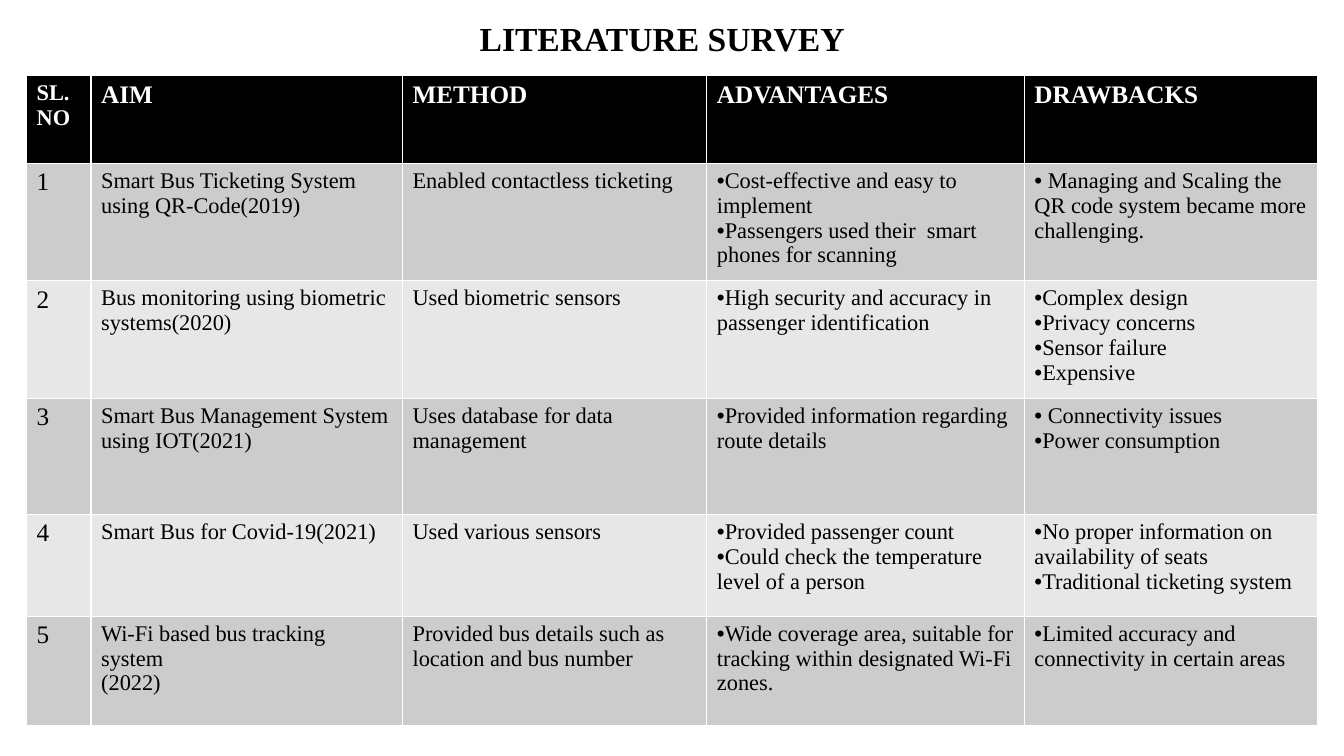
"""Build the literature survey slide: a title above a table of five studies."""
from lxml.etree import SubElement
from pptx import Presentation
from pptx.dml.color import RGBColor as RGB
from pptx.enum.text import MSO_ANCHOR as Anchor, PP_ALIGN as Align
from pptx.oxml.ns import qn
from pptx.util import Pt

HUES = {"ink": "000000", "paper": "FFFFFF", "odd": "CCCCCC", "even": "E7E7E7"}
FACE = "Times New Roman"
WIDTHS = [46.08, 222.48, 217.44, 226.8, 209.52]
HEIGHTS = [62.64, 82.8, 81.36, 82.8, 72.72, 78.48]
HEADS = ["SL.NO", "AIM", "METHOD", "ADVANTAGES", "DRAWBACKS"]
STUDIES = [
    ["Smart Bus Ticketing System using QR-Code(2019)",
     "Enabled contactless ticketing",
     "Cost-effective and easy to implement\nPassengers used their  smart phones for scanning",
     " Managing and Scaling the QR code system became more challenging."],
    ["Bus monitoring using biometric systems(2020)",
     "Used biometric sensors",
     "High security and accuracy in passenger identification",
     "Complex design\nPrivacy concerns\nSensor failure\nExpensive"],
    ["Smart Bus Management System using IOT(2021)",
     "Uses database for data management",
     "Provided information regarding route details",
     " Connectivity issues\nPower consumption"],
    ["Smart Bus for Covid-19(2021)",
     "Used various sensors",
     "Provided passenger count\nCould check the temperature level of a person",
     "No proper information on availability of seats\nTraditional ticketing system"],
    ["Wi-Fi based bus tracking system\n(2022)",
     "Provided bus details such as location and bus number",
     "Wide coverage area, suitable for tracking within designated Wi-Fi zones.",
     "Limited accuracy and connectivity in certain areas"],
]


def style(para, size, hue, bold):
    font = para.font
    font.name, font.size, font.bold = FACE, Pt(size), bold
    font.color.rgb = RGB.from_string(HUES[hue])


def bullet(para):
    props = para._p.get_or_add_pPr()
    props.set("marL", "0")
    props.set("indent", "0")
    SubElement(props, qn("a:buFont")).set("typeface", "Arial")
    SubElement(props, qn("a:buChar")).set("char", "•")


deck = Presentation()
deck.slide_width, deck.slide_height = Pt(960), Pt(540)
slide = deck.slides.add_slide(deck.slide_layouts[6])

title = slide.shapes.add_textbox(Pt(149), Pt(0), Pt(648), Pt(54)).text_frame
title.word_wrap = True
title.vertical_anchor = Anchor.MIDDLE
title.text = "LITERATURE SURVEY"
title.paragraphs[0].alignment = Align.CENTER
style(title.paragraphs[0], 24, "ink", True)

rows = [HEADS] + [[str(num), *study] for num, study in enumerate(STUDIES, 1)]
table = slide.shapes.add_table(len(rows), len(HEADS), Pt(19), Pt(54),
                               Pt(sum(WIDTHS)), Pt(sum(HEIGHTS))).table
for col, width in zip(table.columns, WIDTHS):
    col.width = Pt(width)
for row, height in zip(table.rows, HEIGHTS):
    row.height = Pt(height)

for r, texts in enumerate(rows):
    head = r == 0
    fill = "ink" if head else "odd" if r % 2 else "even"
    for c, text in enumerate(texts):
        cell = table.cell(r, c)
        cell.fill.solid()
        cell.fill.fore_color.rgb = RGB.from_string(HUES[fill])
        cell.text = text
        size = 18 if head != (c == 0) else 16
        for para in cell.text_frame.paragraphs:
            if not head and c > 2:
                bullet(para)
            style(para, size, "paper" if head else "ink", head)

deck.save("out.pptx")
